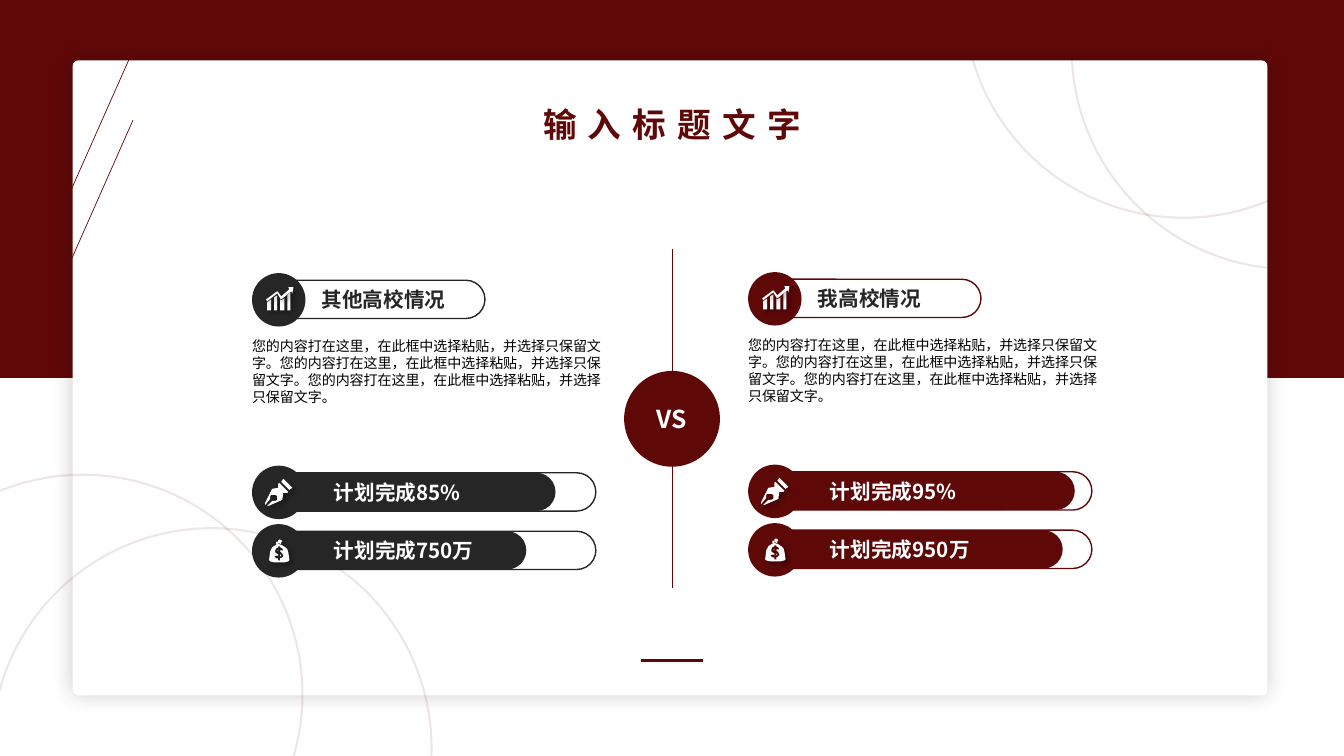
import pptx
import pptx.dml.color
import pptx.enum.shapes
import pptx.enum.text
import pptx.oxml
import pptx.oxml.ns
import pptx.util
from pptx.util import Inches

FONT = "Noto Sans CJK SC"
COLORS = {
    "maroon": "600808",
    "wine": "5F0808",
    "charcoal": "262626",
    "white": "FFFFFF",
    "black": "000000",
}
SHAPES = pptx.enum.shapes.MSO_SHAPE
CENTER = pptx.enum.text.PP_ALIGN.CENTER
MIDDLE = pptx.enum.text.MSO_ANCHOR.MIDDLE
DESCRIPTION = "您的内容打在这里，在此框中选择粘贴，并选择只保留文字。" * 3
BADGE_SIZE = 0.53
PILL_HEIGHT = 0.38

CHART_BARS = [
    [(19, 26), (19, 37), (15, 37), (15, 29)],
    [(32, 25), (32, 37), (28, 37), (28, 26), (29, 27)],
    [(25, 22), (25, 37), (22, 37), (22, 24)],
    [(38, 19), (38, 37), (35, 37), (35, 22)],
]
TREND_ARROW = [
    [(41, 14), (40, 20), (39, 18), (29, 26), (28, 25), (25, 20), (15, 28),
     (14, 26), (25, 18), (26, 19), (29, 23), (37, 16), (36, 14)],
]
PEN = [
    [(37, 24), (29, 16), (31, 13), (40, 22)],
    [(35, 27), (31, 27), (30, 34), (16, 40), (15, 40), (20, 35), (21, 35),
     (23, 35), (25, 34), (25, 32), (25, 30), (23, 29), (21, 29), (19, 29),
     (18, 30), (18, 33), (13, 39), (13, 37), (20, 23), (26, 22), (26, 18),
     (27, 17), (36, 26)],
]
MONEY_BAG = [
    [(24, 20), (27, 19), (29, 20), (29, 18), (30, 17), (29, 16), (28, 16),
     (28, 18), (28, 15), (26, 16), (26, 19), (25, 17), (24, 18)],
    [(37, 35), (36, 28), (35, 25), (33, 23), (30, 21), (27, 20), (25, 20),
     (23, 21), (20, 23), (18, 27), (17, 35), (17, 36), (18, 37), (22, 38),
     (27, 38), (32, 38), (36, 37), (37, 36)],
    [(31, 32), (30, 33), (28, 34), (28, 36), (26, 36), (26, 34), (24, 34),
     (23, 33), (22, 32), (25, 31), (26, 32), (26, 30), (24, 29), (23, 28),
     (23, 26), (24, 24), (26, 23), (26, 22), (28, 22), (28, 23), (30, 24),
     (31, 26), (28, 26), (28, 27), (30, 29), (31, 31)],
    [(28, 30), (28, 32), (29, 31)],
    [(26, 26), (25, 26), (26, 27)],
]


def rgb(color):
    return pptx.dml.color.RGBColor.from_string(COLORS[color])


def apply_format(target, values):
    for name, value in values.items():
        setattr(target, name, value)


def parse_drawing(tag, attributes, inner=""):
    namespace = pptx.oxml.ns.nsdecls("a")
    return pptx.oxml.parse_xml(f"<a:{tag} {namespace} {attributes}>{inner}</a:{tag}>")


def style_shape(shape, fill=None, line=None, width=1, opacity=100):
    shape.shadow.inherit = False
    if fill:
        shape.fill.solid()
        shape.fill.fore_color.rgb = rgb(fill)
    else:
        shape.fill.background()
    if line:
        apply_format(shape.line, {"width": pptx.util.Pt(width)})
        shape.line.color.rgb = rgb(line)
        if opacity < 100:
            color = shape.line._ln.find(".//" + pptx.oxml.ns.qn("a:srgbClr"))
            color.append(parse_drawing("alpha", f'val="{opacity * 1000}"'))
    else:
        shape.line.fill.background()


def add_shadow(shape, opacity, blur, distance, angle):
    effects = shape._element.spPr.find(pptx.oxml.ns.qn("a:effectLst"))
    attributes = (
        f'blurRad="{pptx.util.Pt(blur)}" dist="{pptx.util.Pt(distance)}" '
        f'dir="{angle * 60000}" algn="ctr" rotWithShape="0"'
    )
    color = f'<a:srgbClr val="{COLORS["black"]}"><a:alpha val="{opacity * 1000}"/></a:srgbClr>'
    effects.append(parse_drawing("outerShdw", attributes, color))


def add_preset(shapes, kind, box, **style):
    shape = shapes.add_shape(kind, *map(Inches, box))
    style_shape(shape, **style)
    return shape


def add_pill(shapes, left, top, width, **style):
    pill = add_preset(shapes, SHAPES.ROUNDED_RECTANGLE, (left, top, width, PILL_HEIGHT), **style)
    pill.adjustments[0] = 0.5


def add_line(slide, start, end, color, width):
    connector = slide.shapes.add_connector(
        pptx.enum.shapes.MSO_CONNECTOR.STRAIGHT, *map(Inches, start + end))
    connector.line.color.rgb = rgb(color)
    connector.line.width = pptx.util.Pt(width)
    connector._element.spPr.append(parse_drawing("effectLst", ""))


def write_text(shape, text, size, color, bold=True, alignment=None, spacing=0):
    paragraph = shape.text_frame.paragraphs[0]
    paragraph.alignment = alignment
    run = paragraph.add_run()
    run.text = text
    apply_format(run.font, {"name": FONT, "size": pptx.util.Pt(size), "bold": bold})
    run.font.color.rgb = rgb(color)
    properties = run.font._element
    properties.append(parse_drawing("ea", f'typeface="{FONT}"'))
    if spacing:
        properties.set("spc", str(spacing * 100))


def add_text(shapes, box, text, size, color, wrap=False, **style):
    textbox = shapes.add_textbox(*map(Inches, box))
    apply_format(textbox.text_frame, {
        "word_wrap": wrap, "margin_left": 0, "margin_right": 0,
        "margin_top": 0, "margin_bottom": 0})
    write_text(textbox, text, size, color, **style)


def add_icon(shapes, left, top, contours):
    builder = shapes.build_freeform(*contours[0][0], scale=Inches(0.01))
    for index, contour in enumerate(contours):
        if index:
            builder.move_to(*contour[0])
        builder.add_line_segments(contour[1:], close=True)
    icon = builder.convert_to_shape(Inches(left), Inches(top))
    style_shape(icon, fill="white")
    add_shadow(icon, opacity=40, blur=4, distance=3, angle=45)


def add_badge(shapes, left, top, color, icons):
    add_preset(shapes, SHAPES.OVAL, (left, top, BADGE_SIZE, BADGE_SIZE), fill=color)
    for contours in icons:
        add_icon(shapes, left, top, contours)


def add_heading(slide, left, top, color, text):
    shapes = slide.shapes.add_group_shape().shapes
    add_pill(shapes, left + 0.24, top + 0.07, 2.07, line=color)
    add_badge(shapes, left, top, color, [CHART_BARS, TREND_ARROW])
    add_text(shapes, (left + 0.69, top + 0.14, 1.39, 0.25), text, 14.7, "charcoal")


def add_progress(slide, left, top, color, icon, text, filled):
    shapes = slide.shapes.add_group_shape().shapes
    add_pill(shapes, left + 0.24, top + 0.07, 3.17, line=color)
    add_pill(shapes, left + 0.23, top + 0.07, filled, fill=color)
    add_badge(shapes, left, top, color, [icon])
    add_text(shapes, (left + 0.81, top + 0.14, 1.63, 0.25), text, 14.7, "white")


def add_side(slide, left, top, color, heading, goals):
    add_heading(slide, left, top, color, heading)
    add_text(slide.shapes, (left, top + 0.64, 3.53, 0.67), DESCRIPTION, 10, "black",
             wrap=True, bold=False)
    for index, (icon, text, filled) in enumerate(goals):
        add_progress(slide, left, top + 1.91 + index * 0.58, color, icon, text, filled)


def add_backdrop(slide):
    add_preset(slide.shapes, SHAPES.RECTANGLE, (0, 0, 13.33, 3.75), fill="maroon")
    card = add_preset(slide.shapes, SHAPES.ROUNDED_RECTANGLE, (0.72, 0.6, 11.85, 6.3), fill="white")
    card.adjustments[0] = 0.009
    add_shadow(card, opacity=20, blur=15, distance=0, angle=0)
    add_line(slide, (6.36, 6.55), (6.97, 6.55), "maroon", 2)
    add_line(slide, (1.35, 0.43), (0.53, 2.28), "maroon", 0.5)
    add_line(slide, (1.32, 1.19), (0.25, 3.61), "maroon", 0.5)
    for left, top in [(-0.08, 5.24), (-1.36, 4.71), (10.63, -1.69), (9.56, -2.2)]:
        add_preset(slide.shapes, SHAPES.OVAL, (left, top, 4.36, 4.36),
                   line="maroon", width=1.5, opacity=10)


def add_versus(slide):
    add_line(slide, (6.67, 2.47), (6.67, 5.83), "wine", 0.5)
    circle = add_preset(slide.shapes, SHAPES.OVAL, (6.19, 3.68, 0.95, 0.95), fill="wine")
    circle.text_frame.vertical_anchor = MIDDLE
    write_text(circle, "VS", 17.6, "white", alignment=CENTER)


def main():
    presentation = pptx.Presentation()
    presentation.slide_width = Inches(13.33)
    presentation.slide_height = Inches(7.5)
    slide = presentation.slides.add_slide(presentation.slide_layouts[6])
    add_backdrop(slide)
    add_text(slide.shapes, (5.22, 1.03, 2.89, 0.4), "输入标题文字", 24, "maroon",
             wrap=True, alignment=CENTER, spacing=8)
    add_versus(slide)
    add_side(slide, 7.42, 2.7, "wine", "我高校情况",
             [(PEN, "计划完成95%", 3.01), (MONEY_BAG, "计划完成950万", 2.89)])
    add_side(slide, 2.5, 2.71, "charcoal", "其他高校情况",
             [(PEN, "计划完成85%", 2.78), (MONEY_BAG, "计划完成750万", 2.49)])
    presentation.save("out.pptx")


if __name__ == "__main__":
    main()
